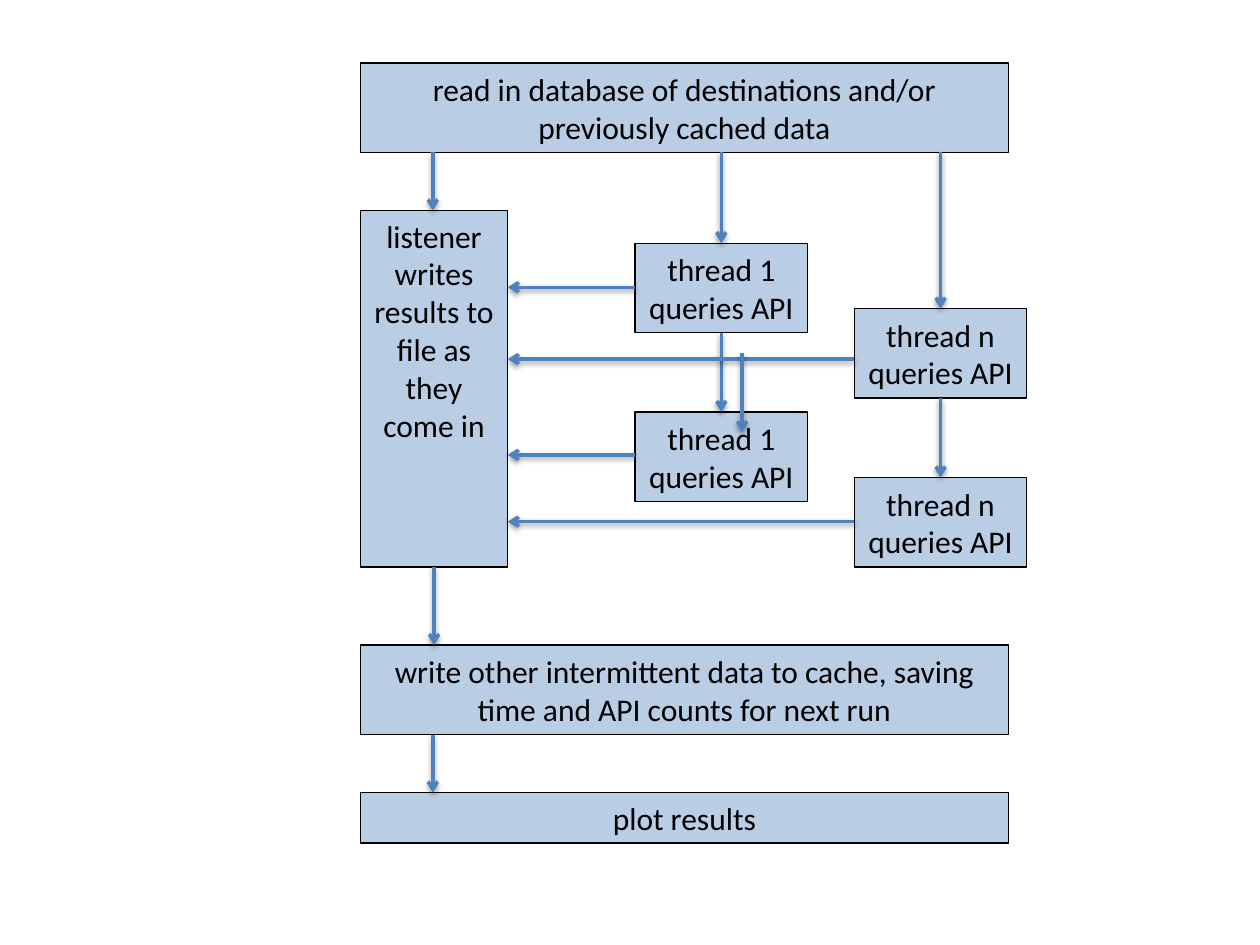
import pptx
import pptx.dml.color
import pptx.enum.shapes
import pptx.enum.text
import pptx.oxml
import pptx.oxml.ns
import pptx.util

COLUMNS, ROWS = 100, 75
SHADOW = (
    '<a:effectLst %s><a:outerShdw blurRad="40000" dist="20000" dir="5400000" rotWithShape="0">'
    '<a:srgbClr val="000000"><a:alpha val="38000"/></a:srgbClr></a:outerShdw></a:effectLst>'
) % pptx.oxml.ns.nsdecls("a")
ARROWHEAD = '<a:tailEnd %s type="arrow"/>' % pptx.oxml.ns.nsdecls("a")


def colour(value):
    return pptx.dml.color.RGBColor.from_string(value)


def write(frame, text, font="Calibri", size=18, ink="000000", anchor="MIDDLE"):
    frame.word_wrap = True
    frame.vertical_anchor = getattr(pptx.enum.text.MSO_ANCHOR, anchor)
    para = frame.paragraphs[0]
    para.alignment = pptx.enum.text.PP_ALIGN.CENTER
    span = para.add_run()
    span.text = text
    span.font.name = font
    span.font.size = pptx.util.Pt(size)
    span.font.color.rgb = colour(ink)


class FlowChart:
    fill, outline, arrow_ink = "B9CDE5", "000000", "4F81BD"

    def __init__(self, deck):
        self.page = deck.slides.add_slide(deck.slide_layouts[6])
        self.column = deck.slide_width / COLUMNS
        self.row = deck.slide_height / ROWS

    def place(self, across, down):
        return round(across * self.column), round(down * self.row)

    def box(self, text, left, top, width, height, **style):
        box = self.page.shapes.add_shape(
            pptx.enum.shapes.MSO_SHAPE.RECTANGLE,
            *self.place(left, top), *self.place(width, height))
        box.shadow.inherit = False
        box.fill.solid()
        box.fill.fore_color.rgb = colour(self.fill)
        box.line.color.rgb = colour(self.outline)
        box.line.width = pptx.util.Pt(0.75)
        write(box.text_frame, text, **style)

    def arrow(self, start, end):
        arrow = self.page.shapes.add_connector(
            pptx.enum.shapes.MSO_CONNECTOR.STRAIGHT,
            *self.place(*start), *self.place(*end))
        arrow.line.color.rgb = colour(self.arrow_ink)
        arrow.line.width = pptx.util.Pt(2)
        arrow.line._get_or_add_ln().append(pptx.oxml.parse_xml(ARROWHEAD))
        arrow._element.spPr.append(pptx.oxml.parse_xml(SHADOW))

    def down(self, across, top, bottom):
        self.arrow((across, top), (across, bottom))


deck = pptx.Presentation()
deck.slide_width = pptx.util.Inches(10)
deck.slide_height = pptx.util.Inches(7.5)
chart = FlowChart(deck)

left, wide, tall = 28.6, 51.45, 7.1
read_top, listener_top, cache_top, plot_top = 5, 16.7, 51.2, 62.9
read_bottom, cache_bottom = read_top + tall, cache_top + tall
listener_width, listener_height = 11.7, 28.3
listener_right = left + listener_width
listener_bottom = listener_top + listener_height
listener_middle = left + listener_width / 2
thread_width, round_step = 13.7, 13.4
threads = [("1", 50.4, 19.3, (3.5, 3.4)), ("n", 67.8, 24.5, (4, 3.5))]

chart.box("read in database of destinations and/or previously cached data",
          left, read_top, wide, tall)
chart.box("listener writes results to file as they come in",
          left, listener_top, listener_width, listener_height, anchor="TOP")
chart.box("write other intermittent data to cache, saving time and API counts for next run",
          left, cache_top, wide, tall)
chart.box("plot results", left, plot_top, wide, 4)

for name, thread_left, first_top, exits in threads:
    for turn in range(2):
        chart.box(f"thread {name} queries API",
                  thread_left, first_top + turn * round_step, thread_width, tall)

for name, thread_left, first_top, exits in threads:
    middle = thread_left + thread_width / 2
    chart.down(middle, read_bottom, first_top)
    chart.down(middle, first_top + tall, first_top + round_step)
    for turn, drop in enumerate(exits):
        level = first_top + turn * round_step + drop
        chart.arrow((thread_left, level), (listener_right, level))

for across, top, bottom in [
    (listener_middle - 0.1, read_bottom, listener_top),
    (listener_middle, listener_bottom, cache_top),
    (listener_middle - 0.1, cache_bottom, plot_top),
    (58.9, 28, 34.3),
]:
    chart.down(across, top, bottom)

deck.save("out.pptx")
